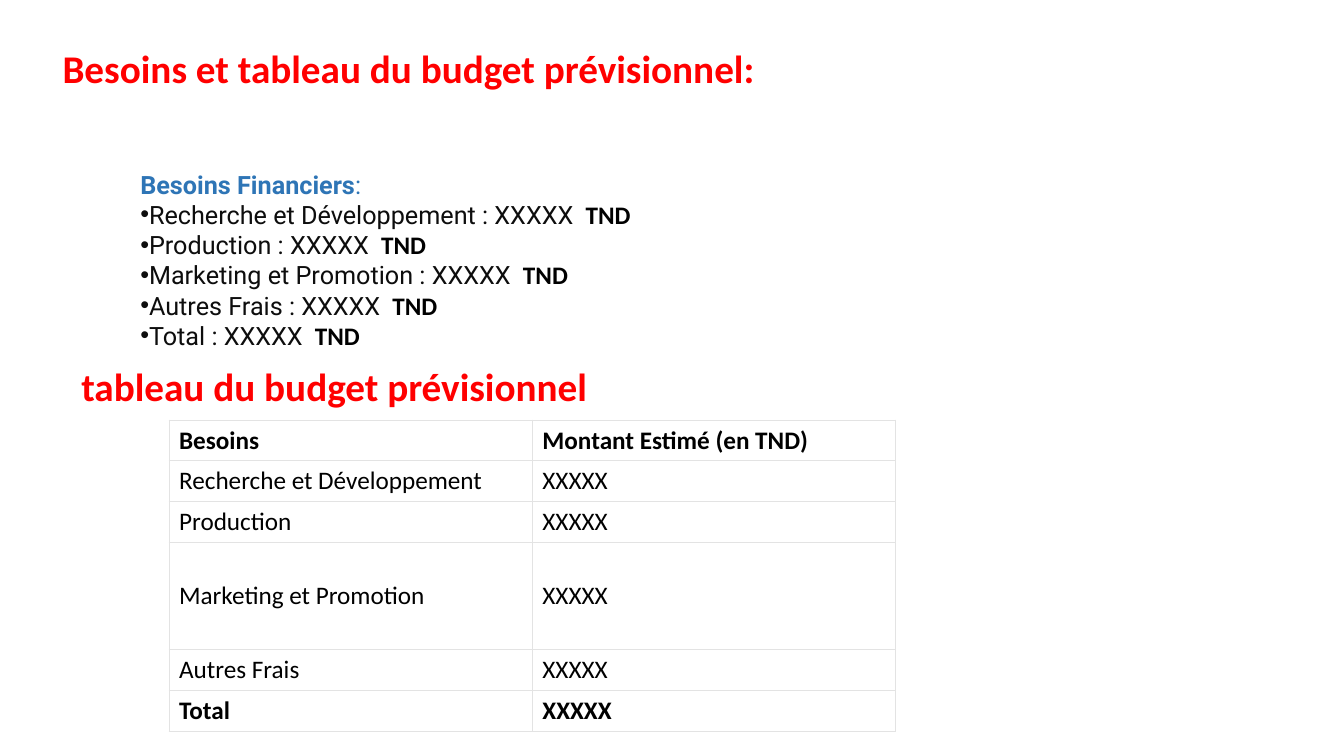
from dataclasses import dataclass

from lxml.etree import SubElement
from pptx import Presentation
from pptx.dml.color import RGBColor
from pptx.enum.text import MSO_ANCHOR, MSO_AUTO_SIZE, PP_ALIGN
from pptx.oxml.ns import qn
from pptx.shapes.autoshape import Shape
from pptx.slide import Slide
from pptx.table import _Cell
from pptx.text.text import TextFrame, _Paragraph
from pptx.util import Emu, Pt

PX = 9525


@dataclass(frozen=True)
class Theme:
    red: str = "FF0000"
    blue: str = "2E75B6"
    ink: str = "0D0D0D"
    black: str = "000000"
    white: str = "FFFFFF"
    grid: str = "E3E3E3"
    heading_font: str = "Calibri"
    list_font: str = "Roboto"
    heading_size: int = 28
    body_size: int = 18
    outer_border: float = 0.75
    inner_border: float = 1


@dataclass(frozen=True)
class Box:
    left: int
    top: int
    width: int
    height: int


@dataclass(frozen=True)
class Span:
    text: str
    font: str
    color: str
    size: int
    bold: bool = False


@dataclass(frozen=True)
class BudgetRow:
    need: str
    amount: str
    height: int = 38
    bold: bool = False
    anchor: MSO_ANCHOR = MSO_ANCHOR.MIDDLE


THEME = Theme()
TITLE_BOX = Box(50, 37, 1189, 84)
NEEDS_BOX = Box(124, 156, 640, 184)
BUDGET_HEADING_BOX = Box(68, 340, 663, 55)
BUDGET_BOX = Box(161, 400, 692, 292)

NEEDS = [
    "Recherche et Développement",
    "Production",
    "Marketing et Promotion",
    "Autres Frais",
    "Total",
]
BUDGET = [
    BudgetRow("Besoins", "Montant Estimé (en TND)", bold=True, anchor=MSO_ANCHOR.BOTTOM),
    BudgetRow("Recherche et Développement", "XXXXX"),
    BudgetRow("Production", "XXXXX"),
    BudgetRow("Marketing et Promotion", "XXXXX", height=102),
    BudgetRow("Autres Frais", "XXXXX"),
    BudgetRow("Total", "XXXXX", bold=True),
]


def px(length: int) -> Emu:
    return Emu(length * PX)


def place(shape: Shape, box: Box) -> TextFrame:
    shape.left, shape.top = px(box.left), px(box.top)
    shape.width, shape.height = px(box.width), px(box.height)
    frame = shape.text_frame
    frame.word_wrap = True
    frame.auto_size = MSO_AUTO_SIZE.NONE
    frame.vertical_anchor = MSO_ANCHOR.TOP
    return frame


def write(paragraph: _Paragraph, spans: list[Span]) -> None:
    paragraph.alignment = PP_ALIGN.LEFT
    paragraph.space_before = Pt(0)
    for span in spans:
        run = paragraph.add_run()
        run.text = span.text
        run.font.name = span.font
        run.font.size = Pt(span.size)
        run.font.bold = span.bold
        run.font.color.rgb = RGBColor.from_string(span.color)


def set_bullet(paragraph: _Paragraph, bulleted: bool) -> None:
    properties = paragraph._p.get_or_add_pPr()
    properties.set("marL", "0")
    properties.set("indent", "0")
    if bulleted:
        SubElement(properties, qn("a:buFont"), typeface="Arial")
        SubElement(properties, qn("a:buChar"), char="•")
    else:
        SubElement(properties, qn("a:buNone"))


def add_heading(shape: Shape, box: Box, text: str) -> None:
    heading = Span(text, THEME.heading_font, THEME.red, THEME.heading_size, True)
    write(place(shape, box).paragraphs[0], [heading])


def add_needs(shape: Shape) -> None:
    frame = place(shape, NEEDS_BOX)
    size = THEME.body_size
    intro = frame.paragraphs[0]
    write(intro, [
        Span("Besoins Financiers", THEME.list_font, THEME.blue, size, True),
        Span(":", THEME.list_font, THEME.blue, size),
    ])
    set_bullet(intro, False)
    for need in NEEDS:
        item = frame.add_paragraph()
        write(item, [
            Span(f"{need} : XXXXX ", THEME.list_font, THEME.ink, size),
            Span(" TND", THEME.heading_font, THEME.black, size, True),
        ])
        set_bullet(item, True)


def set_borders(cell: _Cell, top: float, bottom: float) -> None:
    properties = cell._tc.get_or_add_tcPr()
    side = THEME.outer_border
    for tag, width in (("lnL", side), ("lnR", side), ("lnT", top), ("lnB", bottom)):
        line = SubElement(properties, qn(f"a:{tag}"), w=str(Pt(width)))
        fill = SubElement(line, qn("a:solidFill"))
        SubElement(fill, qn("a:srgbClr"), val=THEME.grid)


def add_budget(slide: Slide) -> None:
    box = BUDGET_BOX
    table = slide.shapes.add_table(
        len(BUDGET), 2, px(box.left), px(box.top), px(box.width), px(box.height)
    ).table
    table.first_row = False
    table.horz_banding = False
    last = len(BUDGET) - 1
    for index, entry in enumerate(BUDGET):
        table.rows[index].height = px(entry.height)
        top = THEME.outer_border if index == 0 else THEME.inner_border
        bottom = THEME.outer_border if index == last else THEME.inner_border
        for column, text in enumerate((entry.need, entry.amount)):
            cell = table.cell(index, column)
            set_borders(cell, top, bottom)
            cell.fill.solid()
            cell.fill.fore_color.rgb = RGBColor.from_string(THEME.white)
            cell.vertical_anchor = entry.anchor
            write(cell.text_frame.paragraphs[0], [
                Span(text, THEME.heading_font, THEME.black, THEME.body_size, entry.bold)
            ])


def main() -> None:
    presentation = Presentation()
    presentation.slide_width = px(1280)
    presentation.slide_height = px(720)
    slide = presentation.slides.add_slide(presentation.slide_layouts[1])
    add_heading(slide.shapes.title, TITLE_BOX, "Besoins et tableau du budget prévisionnel:")
    add_budget(slide)
    add_needs(slide.placeholders[1])
    budget_heading = slide.shapes.add_textbox(0, 0, 0, 0)
    add_heading(budget_heading, BUDGET_HEADING_BOX, "tableau du budget prévisionnel")
    presentation.save("out.pptx")


if __name__ == "__main__":
    main()
